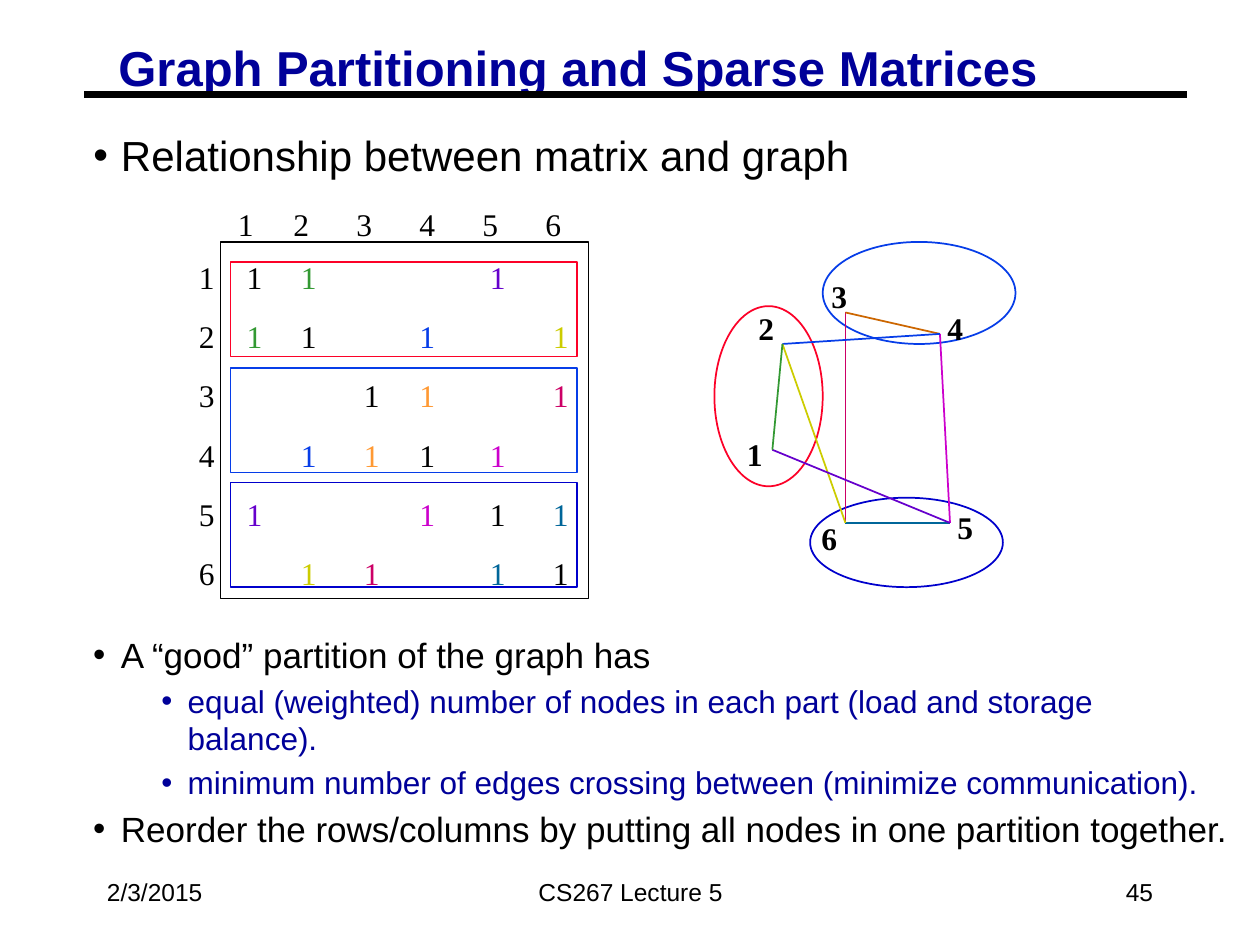
from lxml import etree
from pptx import Presentation
from pptx.dml.color import RGBColor
from pptx.enum.shapes import MSO_CONNECTOR, MSO_SHAPE
from pptx.enum.text import MSO_ANCHOR, MSO_AUTO_SIZE, PP_ALIGN
from pptx.oxml.ns import qn
from pptx.util import Inches, Pt

RECTANGLE, OVAL = MSO_SHAPE.RECTANGLE, MSO_SHAPE.OVAL
STRAIGHT = MSO_CONNECTOR.STRAIGHT
TOP, MIDDLE = MSO_ANCHOR.TOP, MSO_ANCHOR.MIDDLE
LEFT, CENTER, RIGHT = PP_ALIGN.LEFT, PP_ALIGN.CENTER, PP_ALIGN.RIGHT
NO_AUTOFIT = MSO_AUTO_SIZE.NONE
SANS, SERIF = "Arial", "Times New Roman"

COLOURS = {
    "black": "000000", "navy": "000099", "red": "FC0128", "blue": "063DE8",
    "deep blue": "0000CC", "green": "339933", "purple": "6600CC",
    "yellow": "CCCC00", "orange": "FF9933", "brown": "CC6600",
    "crimson": "CC0066", "magenta": "CC00CC", "teal": "006699",
}

NODES = {1: (6.13, 3.57), 2: (6.21, 2.73), 3: (6.71, 2.48),
         4: (7.46, 2.65), 5: (7.54, 4.15), 6: (6.71, 4.15)}
NODE_LABELS = {1: (5.83, 3.4), 2: (5.92, 2.4), 3: (6.5, 2.15),
               4: (7.42, 2.4), 5: (7.5, 3.98), 6: (6.42, 4.07)}
EDGES = {(3, 6): "crimson", (4, 5): "magenta", (6, 5): "teal", (3, 4): "brown",
         (2, 4): "blue", (2, 6): "yellow", (1, 5): "purple", (1, 2): "green"}
ENTRY_COLOURS = {**EDGES, (3, 4): "orange"}

# Each part: colour, ellipse in the graph, rows in the matrix
PARTS = [
    ("red", (5.67, 2.43, 0.86, 1.43), (1.83, 2.08, 2.75, 0.75)),
    ("blue", (6.53, 1.92, 1.53, 0.81), (1.83, 2.92, 2.75, 0.83)),
    ("deep blue", (6.43, 3.95, 1.53, 0.71), (1.83, 3.83, 2.75, 0.83)),
]
ENTRY_TABS = [0.38, 0.81, 1.31, 1.75, 2.31, 2.81]
HEADER_TABS = [0.12, 0.56, 1.06, 1.56, 2.06, 2.56]

GOALS = [
    (0, "A “good” partition of the graph has"),
    (1, "equal (weighted) number of nodes in each part (load and storage balance)."),
    (1, "minimum number of edges crossing between (minimize communication)."),
    (0, "Reorder the rows/columns by putting all nodes in one partition together."),
]


def colour(name):
    return RGBColor.from_string(COLOURS[name])


def format_span(span, font, size, name="black", bold=False):
    span.font.name, span.font.size, span.font.bold = font, Pt(size), bold
    span.font.color.rgb = colour(name)


def set_up_frame(frame, side=0.1, end=0.05, anchor=TOP):
    frame.word_wrap = True
    frame.auto_size = NO_AUTOFIT
    frame.vertical_anchor = anchor
    frame.margin_left = frame.margin_right = Inches(side)
    frame.margin_top = frame.margin_bottom = Inches(end)


def add_box(page, place, **frame_options):
    box = page.shapes.add_textbox(*map(Inches, place))
    set_up_frame(box.text_frame, **frame_options)
    return box.text_frame


def add_label(page, place, text, font, size, bold=False, align=LEFT, anchor=TOP):
    frame = add_box(page, place, anchor=anchor)
    frame.text = text
    para = frame.paragraphs[0]
    para.alignment = align
    format_span(para.runs[0], font, size, bold=bold)
    return para


def next_paragraph(frame, index, gap):
    if index == 0:
        return frame.paragraphs[0]
    para = frame.add_paragraph()
    para.space_before = Pt(gap)
    return para


def add_tabs(para, stops):
    tab_list = etree.SubElement(para._p.get_or_add_pPr(), qn("a:tabLst"))
    for stop in stops:
        etree.SubElement(tab_list, qn("a:tab"), pos=str(Inches(stop)), algn="l")


def add_bullet(para, name, indent, hanging):
    properties = para._p.get_or_add_pPr()
    properties.set("marL", str(Inches(indent)))
    properties.set("indent", str(-Inches(hanging)))
    bullet_colour = etree.SubElement(properties, qn("a:buClr"))
    etree.SubElement(bullet_colour, qn("a:srgbClr"), val=COLOURS[name])
    etree.SubElement(properties, qn("a:buFont"), typeface=SANS)
    etree.SubElement(properties, qn("a:buChar"), char="•")


def add_bullets(page, place, items, size):
    frame = add_box(page, place, side=0.07, end=0.03)
    for index, (level, text) in enumerate(items):
        para = next_paragraph(frame, index, 3.4 if level else 3.7)
        para.text = text
        para.level = level
        name = "navy" if level else "black"
        add_bullet(para, name, *((0.75, 0.21) if level else (0.22, 0.22)))
        format_span(para.runs[0], SANS, size - 2 * level, name)


def add_outline(page, kind, place, name):
    shape = page.shapes.add_shape(kind, *map(Inches, place))
    shape.shadow.inherit = False
    shape.fill.background()
    shape.line.color.rgb = colour(name)
    shape.line.width = Pt(1)


def add_line(page, start, end, name, width=1):
    line = page.shapes.add_connector(STRAIGHT, *map(Inches, (*start, *end)))
    line.line.color.rgb = colour(name)
    line.line.width = Pt(width)
    etree.SubElement(line._element.spPr, qn("a:effectLst"))


def add_title(page, text):
    title = page.shapes.title
    title.left, title.top, title.width, title.height = map(
        Inches, (0.87, 0.33, 8.54, 0.46))
    title.text_frame.text = text
    set_up_frame(title.text_frame, side=0.07, end=0.03)
    para = title.text_frame.paragraphs[0]
    para.alignment = LEFT
    para.line_spacing = 0.87
    format_span(para.runs[0], SANS, 28, "navy", bold=True)


def add_matrix(page):
    """Ones on the diagonal and, in the edge's colour, wherever two nodes are joined."""
    add_outline(page, RECTANGLE, (1.75, 1.92, 2.92, 2.83), "black")
    entries = {(node, node): "black" for node in NODES}
    for (first, second), name in ENTRY_COLOURS.items():
        entries[first, second] = entries[second, first] = name

    frame = add_box(page, (1.48, 2, 3.18, 3.14))
    for index, row in enumerate(NODES):
        para = next_paragraph(frame, index, 12.2)
        para.text = str(row)
        add_tabs(para, ENTRY_TABS)
        format_span(para.runs[0], SERIF, 18)
        filled = 0
        for column in NODES:
            if (row, column) in entries:
                span = para.add_run()
                span.text = "\t" * (column - filled) + "1"
                format_span(span, SERIF, 18, entries[row, column])
                filled = column

    header = "".join(f"\t{column}" for column in NODES)
    add_tabs(add_label(page, (1.67, 1.58, 3.17, 0.4), header, SERIF, 18), HEADER_TABS)


def add_graph(page):
    for (first, second), name in EDGES.items():
        add_line(page, NODES[first], NODES[second], name)
    for node, corner in NODE_LABELS.items():
        add_label(page, (*corner, 0.25, 0.4), str(node), SERIF, 18, bold=True)


def add_footer(page):
    for left, width, text, align in [(0.75, 2.08, "2/3/2015", LEFT),
                                     (3.42, 3.17, "CS267 Lecture 5", CENTER),
                                     (7.17, 2.08, "45", RIGHT)]:
        add_label(page, (left, 6.83, width, 0.5), text, SANS, 14,
                  align=align, anchor=MIDDLE)


def main():
    deck = Presentation()
    deck.slide_width, deck.slide_height = Inches(10), Inches(7.5)
    page = deck.slides.add_slide(deck.slide_layouts[5])
    add_line(page, (0.67, 0.75), (9.42, 0.75), "black", 3.75)
    add_footer(page)
    add_title(page, "Graph Partitioning and Sparse Matrices")
    add_matrix(page)
    add_bullets(page, (0.67, 1, 8.75, 0.46),
                [(0, "Relationship between matrix and graph")], 24)
    add_bullets(page, (0.67, 5, 9.17, 1.77), GOALS, 20)
    for name, ellipse, rows in PARTS:
        add_outline(page, OVAL, ellipse, name)
        add_outline(page, RECTANGLE, rows, name)
    add_graph(page)
    deck.save("out.pptx")


if __name__ == "__main__":
    main()
